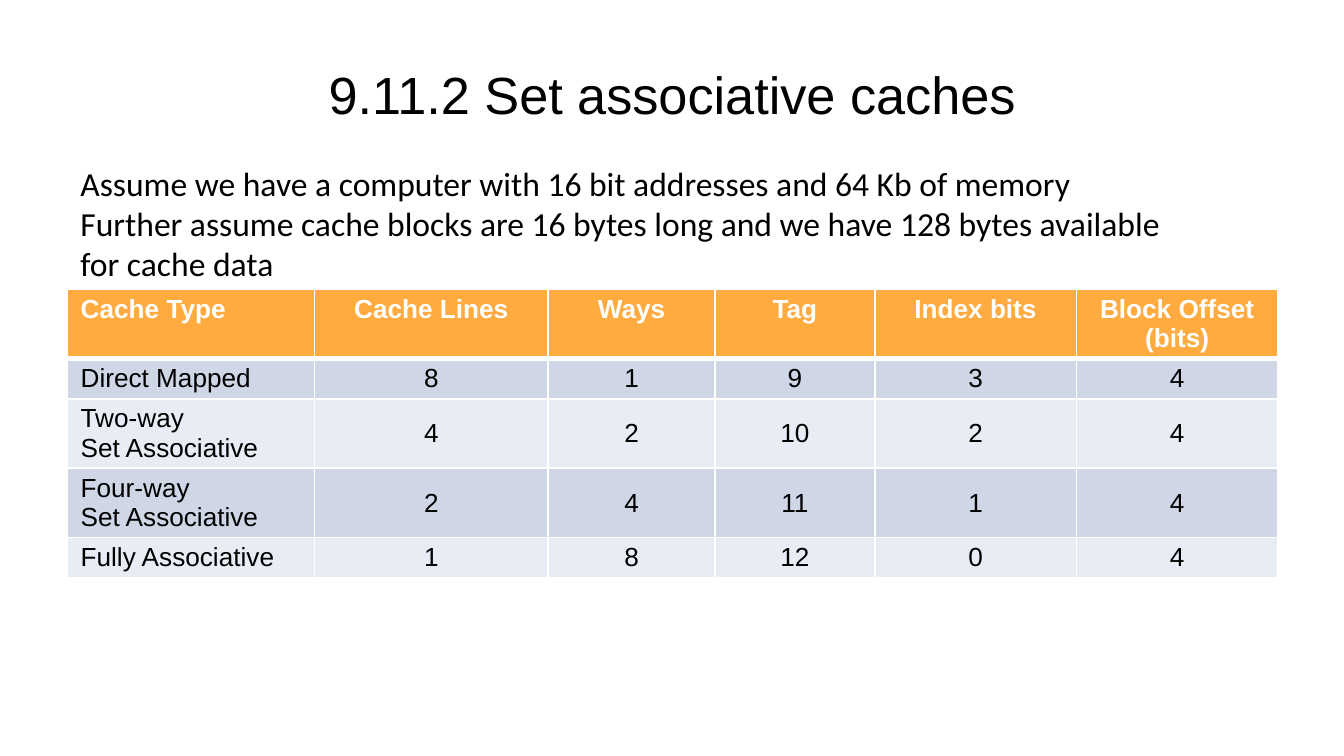
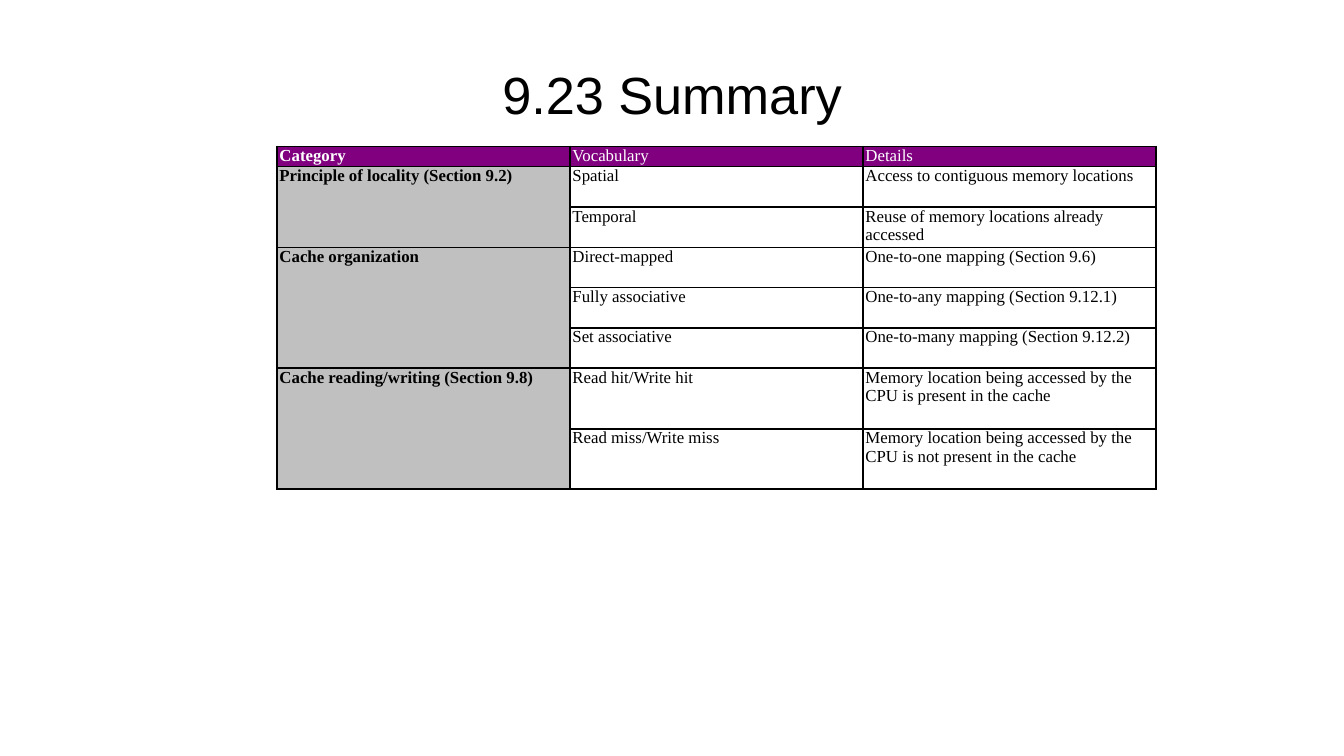
from lxml.etree import SubElement
from pptx import Presentation
from pptx.dml.color import RGBColor
from pptx.enum.text import MSO_ANCHOR, MSO_AUTO_SIZE, PP_ALIGN
from pptx.oxml.ns import qn
from pptx.util import Inches, Pt

BLACK = RGBColor(0x00, 0x00, 0x00)
WHITE = RGBColor(0xFF, 0xFF, 0xFF)
ORANGE = RGBColor(0xFF, 0xAB, 0x40)
BAND_DARK = RGBColor(0xCF, 0xD7, 0xE7)
BAND_LIGHT = RGBColor(0xE8, 0xEC, 0xF4)
PURPLE = RGBColor(0x80, 0x00, 0x80)
GRAY = RGBColor(0xC0, 0xC0, 0xC0)

TITLE_FONT = {"name": "Arial", "size": Pt(28), "bold": False}
INTRO_FONT = {"name": "Calibri", "size": Pt(18)}
CACHE_FONT = {"name": "Arial", "size": Pt(14)}
SUMMARY_FONT = {"name": "Times New Roman", "size": Pt(9)}
CACHE_MARGINS = {"margin_left": Inches(0.1), "margin_right": Inches(0.1),
                 "margin_top": Inches(0.04), "margin_bottom": Inches(0.04)}
SUMMARY_MARGINS = {"margin_left": Inches(0.02), "margin_right": Inches(0.02),
                   "margin_top": 0, "margin_bottom": 0}

INTRO = (
    "Assume we have a computer with 16 bit addresses and 64 Kb of memory\n"
    "Further assume cache blocks are 16 bytes long and we have 128 bytes available\n"
    "for cache data"
)
CACHE_ROWS = [
    ("Cache Type", "Cache Lines", "Ways", "Tag", "Index bits", "Block Offset (bits)"),
    ("Direct Mapped", "8", "1", "9", "3", "4"),
    ("Two-way\nSet Associative", "4", "2", "10", "2", "4"),
    ("Four-way\nSet Associative", "2", "4", "11", "1", "4"),
    ("Fully Associative", "1", "8", "12", "0", "4"),
]
SUMMARY_HEADER = ("Category", "Vocabulary", "Details")
SUMMARY_GROUPS = [
    ("Principle of locality (Section 9.2)", 0.3, [
        ("Spatial", "Access to contiguous memory locations"),
        ("Temporal", "Reuse of memory locations already accessed"),
    ]),
    ("Cache organization", 0.3, [
        ("Direct-mapped", "One-to-one mapping (Section 9.6)"),
        ("Fully associative", "One-to-any mapping (Section 9.12.1)"),
        ("Set associative", "One-to-many mapping (Section 9.12.2)"),
    ]),
    ("Cache reading/writing (Section 9.8)", 0.45, [
        ("Read hit/Write hit",
         "Memory location being accessed by the CPU is present in the cache"),
        ("Read miss/Write miss",
         "Memory location being accessed by the CPU is not present in the cache"),
    ]),
]


def apply_format(target, values):
    for attribute, value in values.items():
        setattr(target, attribute, value)


def write_text(frame, text, font, color, align=PP_ALIGN.LEFT):
    frame.text = text
    for paragraph in frame.paragraphs:
        paragraph.alignment = align
        apply_format(paragraph.font, font)
        paragraph.font.color.rgb = color


def add_titled_slide(deck, heading):
    slide = deck.slides.add_slide(deck.slide_layouts[5])
    title = slide.shapes.title
    apply_format(title, {"left": Inches(0.5), "top": Inches(0.23),
                         "width": Inches(9), "height": Inches(0.94)})
    apply_format(title.text_frame, {"vertical_anchor": MSO_ANCHOR.MIDDLE,
                                    "auto_size": MSO_AUTO_SIZE.NONE})
    write_text(title.text_frame, heading, TITLE_FONT, BLACK, PP_ALIGN.CENTER)
    return slide


def add_intro(slide):
    intro = slide.shapes.add_textbox(Inches(0.5), Inches(1.16), Inches(8.39), Inches(0.76))
    intro.text_frame.word_wrap = True
    write_text(intro.text_frame, INTRO, INTRO_FONT, BLACK)


def add_grid(slide, left, top, widths, heights):
    table = slide.shapes.add_table(
        len(heights), len(widths), Inches(left), Inches(top),
        Inches(sum(widths)), Inches(sum(heights))).table
    table.horz_banding = False
    for column, width in zip(table.columns, widths):
        column.width = Inches(width)
    for row, height in zip(table.rows, heights):
        row.height = Inches(height)
    return table


def set_borders(cell, color, top=1, bottom=1):
    properties = cell._tc.get_or_add_tcPr()
    for side, width in (("L", 1), ("R", 1), ("T", top), ("B", bottom)):
        line = SubElement(properties, qn(f"a:ln{side}"), w=str(Pt(width)))
        if width:
            SubElement(SubElement(line, qn("a:solidFill")), qn("a:srgbClr"), val=str(color))
        else:
            SubElement(line, qn("a:noFill"))


def paint(cell, color):
    if color is None:
        cell.fill.background()
    else:
        cell.fill.solid()
        cell.fill.fore_color.rgb = color


def fill_cache_table(table):
    for r, texts in enumerate(CACHE_ROWS):
        header = r == 0
        band = ORANGE if header else BAND_DARK if r % 2 else BAND_LIGHT
        for c, text in enumerate(texts):
            cell = table.cell(r, c)
            set_borders(cell, WHITE, top=3 if r == 1 else 1, bottom=3 if header else 1)
            paint(cell, band)
            apply_format(cell, CACHE_MARGINS)
            centered = c > 0
            cell.vertical_anchor = (
                MSO_ANCHOR.MIDDLE if centered and not header else MSO_ANCHOR.TOP)
            write_text(cell.text_frame, text, {**CACHE_FONT, "bold": header},
                       WHITE if header else BLACK,
                       PP_ALIGN.CENTER if centered else PP_ALIGN.LEFT)


def fill_summary_table(table):
    rows = [SUMMARY_HEADER]
    for category, _, entries in SUMMARY_GROUPS:
        rows += [(category if i == 0 else "", *entry) for i, entry in enumerate(entries)]
    categories = [row[0] for row in rows] + ["end"]
    for r, texts in enumerate(rows):
        for c, text in enumerate(texts):
            cell = table.cell(r, c)
            set_borders(cell, BLACK,
                        top=1 if c or categories[r] else 0,
                        bottom=1 if c or categories[r + 1] else 0)
            paint(cell, PURPLE if r == 0 else GRAY if c == 0 else None)
            apply_format(cell, SUMMARY_MARGINS)
            write_text(cell.text_frame, text, {**SUMMARY_FONT, "bold": c == 0},
                       WHITE if r == 0 else BLACK)


def main():
    deck = Presentation()
    deck.slide_width = Inches(10)
    deck.slide_height = deck.slide_width * 9 // 16

    caches = add_titled_slide(deck, "9.11.2 Set associative caches")
    fill_cache_table(add_grid(caches, 0.5, 2.15, [1.84, 1.74, 1.24, 1.19, 1.5, 1.5],
                              [0.3] * len(CACHE_ROWS)))
    add_intro(caches)

    summary = add_titled_slide(deck, "9.23 Summary")
    heights = [0.15] + [height for _, height, entries in SUMMARY_GROUPS for _ in entries]
    fill_summary_table(add_grid(summary, 2.06, 1.09, [2.18] * 3, heights))

    deck.save("out.pptx")


if __name__ == "__main__":
    main()
